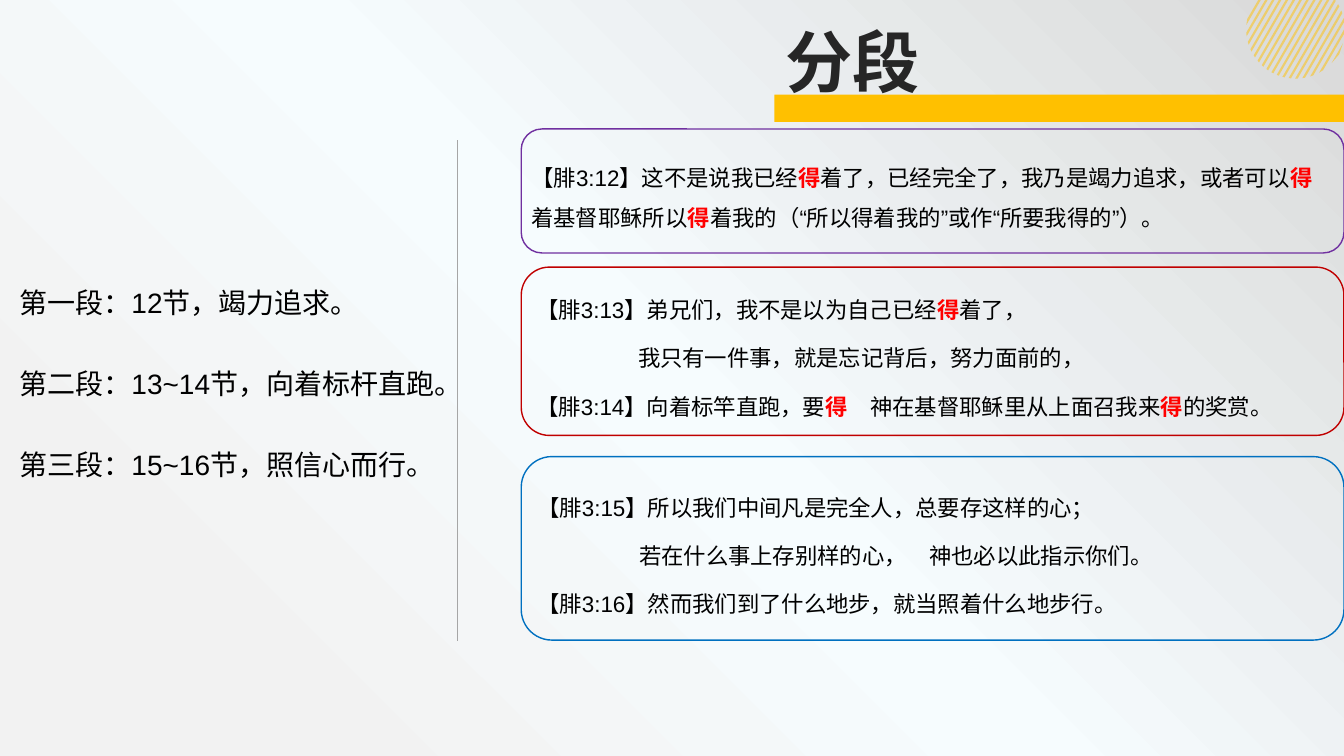
import math

from lxml import etree
from pptx import Presentation
from pptx import util as u
from pptx.dml.color import RGBColor
from pptx.enum import lang, shapes, text
from pptx.oxml import ns, parse_xml

GOLD = RGBColor(0xFF, 0xC0, 0x00)
CHARCOAL = RGBColor(0x26, 0x26, 0x26)
BLACK = RGBColor(0x00, 0x00, 0x00)
RED = RGBColor(0xFF, 0x00, 0x00)
GRAY = RGBColor(0xA6, 0xA6, 0xA6)
PURPLE = RGBColor(0x70, 0x30, 0xA0)
CRIMSON = RGBColor(0xC0, 0x00, 0x00)
BLUE = RGBColor(0x00, 0x70, 0xC0)
FONT = "Arial"


def place(shape, left, top, width, height):
    shape.left, shape.top = u.Inches(left), u.Inches(top)
    shape.width, shape.height = u.Inches(width), u.Inches(height)


def write(frame, lines, size, color=BLACK, bold=False, spacing=1.0, before=0, after=0,
          inset=None, anchor=text.MSO_ANCHOR.TOP):
    frame.word_wrap = True
    frame.auto_size = text.MSO_AUTO_SIZE.NONE
    frame.vertical_anchor = anchor
    if inset is not None:
        frame.margin_left = frame.margin_right = u.Inches(inset)
        frame.margin_top = frame.margin_bottom = u.Inches(inset)
    for index, line in enumerate(lines):
        paragraph = frame.paragraphs[0] if index == 0 else frame.add_paragraph()
        properties = paragraph._p.get_or_add_pPr()
        properties.set("marL", "0")
        properties.set("indent", str(u.Inches(1.01) if line.startswith("\t") else 0))
        etree.SubElement(properties, ns.qn("a:buNone"))
        paragraph.alignment = text.PP_ALIGN.LEFT
        paragraph.line_spacing = spacing
        paragraph.space_before = u.Pt(before if index else 0)
        paragraph.space_after = u.Pt(after)
        for part, words in enumerate(line.strip("\t").split("*")):
            if not words:
                continue
            stressed = part % 2 == 1
            run = paragraph.add_run()
            run.text = words
            run.font.size = u.Pt(size)
            run.font.bold = bold or stressed
            run.font.color.rgb = RED if stressed else color
            run.font.name = FONT
            run.font.language_id = lang.MSO_LANGUAGE_ID.SIMPLIFIED_CHINESE
            etree.SubElement(run._r.get_or_add_rPr(), ns.qn("a:ea"), typeface=FONT)


presentation = Presentation()
presentation.slide_width = u.Inches(13.33)
presentation.slide_height = u.Inches(7.5)
slide = presentation.slides.add_slide(presentation.slide_layouts[1])

slide.background.fill.solid()
background = slide.element.find(".//" + ns.qn("p:bgPr"))
background.replace(background[0], parse_xml(
    f'<a:gradFill {ns.nsdecls("a")} rotWithShape="1"><a:gsLst>'
    '<a:gs pos="15000"><a:srgbClr val="F2F2F2"/></a:gs>'
    '<a:gs pos="50000"><a:srgbClr val="F6FCFE"/></a:gs>'
    '<a:gs pos="100000"><a:srgbClr val="D9D9D9"/></a:gs></a:gsLst>'
    '<a:path path="circle"><a:fillToRect t="100000" r="100000"/></a:path></a:gradFill>'))

CENTER_X, CENTER_Y, RADIUS = 12.85, 0.29, 0.49
SLOPE_X, SLOPE_Y = -0.5, math.sqrt(3) / 2
STRIPE_COUNT, STRIPE_STEP, STRIPE_WIDTH = 17, 0.068, 0.025

for stripe in range(STRIPE_COUNT):
    corners = []
    for edge in (0, STRIPE_WIDTH):
        start = 12.48 + stripe * STRIPE_STEP + edge
        offset = start - CENTER_X
        middle = CENTER_Y * SLOPE_Y - offset * SLOPE_X
        half = math.sqrt(max(0, middle**2 - offset**2 - CENTER_Y**2 + RADIUS**2))
        ends = [max(0, middle - half), middle + half]
        if edge:
            ends.reverse()
        corners += [(u.Inches(start + end * SLOPE_X), u.Inches(end * SLOPE_Y)) for end in ends]
    builder = slide.shapes.build_freeform(*corners[0])
    builder.add_line_segments(corners[1:], close=True)
    shape = builder.convert_to_shape()
    shape.shadow.inherit = False
    shape.fill.solid()
    shape.fill.fore_color.rgb = GOLD
    shape.line.fill.background()
    tint = shape._element.spPr.find(".//" + ns.qn("a:srgbClr"))
    etree.SubElement(tint, ns.qn("a:alpha"), val="50000")

bar = slide.shapes.add_shape(shapes.MSO_SHAPE.RECTANGLE, u.Inches(7.68), u.Inches(0.94),
                             u.Inches(5.65), u.Inches(0.27))
bar.shadow.inherit = False
bar.fill.solid()
bar.fill.fore_color.rgb = GOLD
bar.line.fill.background()

title = slide.shapes.title
place(title, 7.69, 0.15, 4.6, 0.91)
write(title.text_frame, ["分段"], size=48, color=CHARCOAL, bold=True)

outline = slide.placeholders[1]
place(outline, 0.09, 2.72, 4.45, 2.6)
write(outline.text_frame, [
    "第一段：12节，竭力追求。",
    "第二段：13~14节，向着标杆直跑。",
    "第三段：15~16节，照信心而行。",
], size=20, spacing=1.2, before=29)

divider = slide.shapes.add_connector(shapes.MSO_CONNECTOR.STRAIGHT, u.Inches(4.54), u.Inches(1.39),
                                     u.Inches(4.54), u.Inches(6.36))
divider.line.color.rgb = GRAY
divider.line.width = u.Pt(0.5)
etree.SubElement(divider._element.spPr, ns.qn("a:effectLst"))

passages = [
    (PURPLE, 1.28, 1.23, (5.2, 1.34, 8.1, 1.11), 0.07, [
        "【腓3:12】这不是说我已经*得*着了，已经完全了，我乃是竭力追求，或者可以*得*"
        "着基督耶稣所以*得*着我的（“所以得着我的”或作“所要我得的”）。",
    ]),
    (CRIMSON, 2.65, 1.67, (5.22, 2.73, 8.07, 1.51), 0.1, [
        "【腓3:13】弟兄们，我不是以为自己已经*得*着了，",
        "\t我只有一件事，就是忘记背后，努力面前的，",
        "【腓3:14】向着标竿直跑，要*得*　神在基督耶稣里从上面召我来*得*的奖赏。",
    ]),
    (BLUE, 4.53, 1.82, (5.23, 4.62, 8.05, 1.65), 0.1, [
        "【腓3:15】所以我们中间凡是完全人，总要存这样的心；",
        "\t若在什么事上存别样的心，　神也必以此指示你们。",
        "【腓3:16】然而我们到了什么地步，就当照着什么地步行。",
    ]),
]
for color, top, height, text_area, inset, verses in passages:
    frame = slide.shapes.add_shape(shapes.MSO_SHAPE.ROUNDED_RECTANGLE, u.Inches(5.17),
                                   u.Inches(top), u.Inches(8.16), u.Inches(height))
    frame.shadow.inherit = False
    frame.fill.background()
    frame.line.color.rgb = color
    frame.line.width = u.Pt(1)
    box = slide.shapes.add_textbox(*[u.Inches(length) for length in text_area])
    write(box.text_frame, verses, size=16, spacing=1.5, after=5.6, inset=inset,
          anchor=text.MSO_ANCHOR.MIDDLE)

presentation.save("out.pptx")
